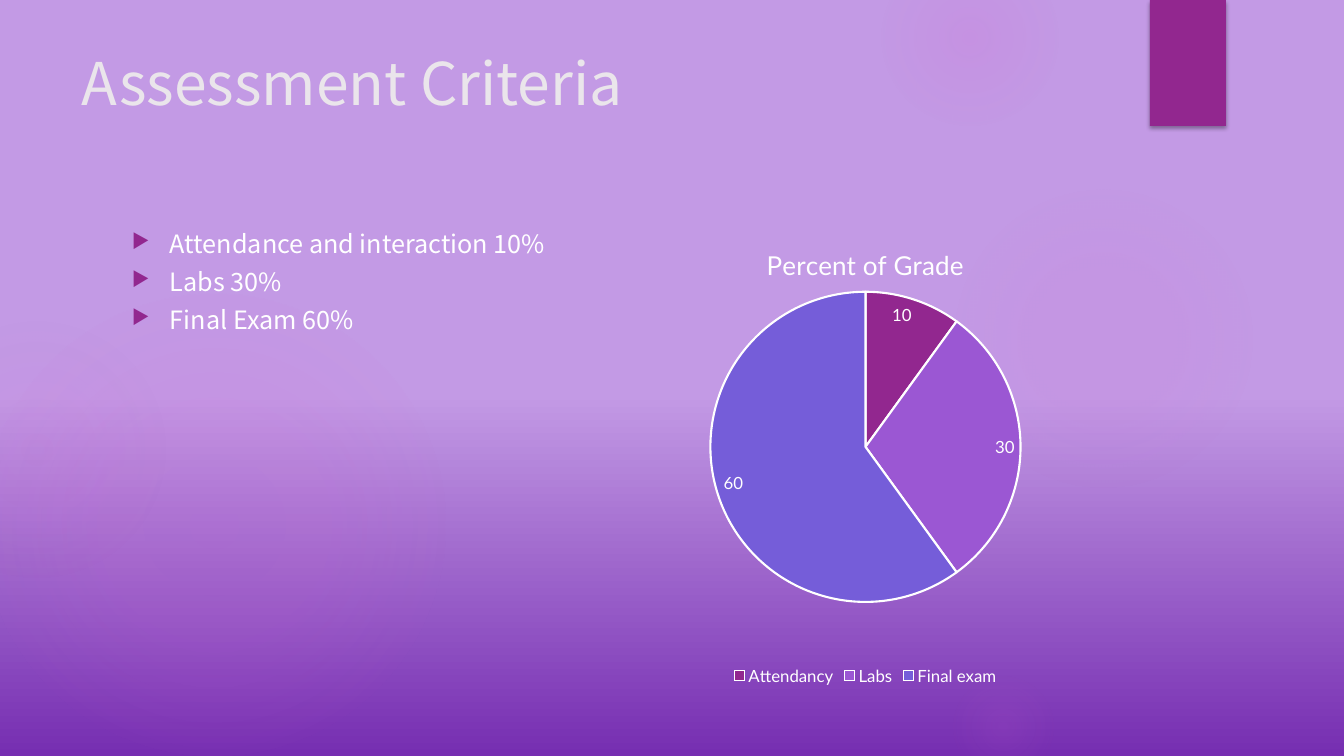
from pptx import Presentation, util as u
from pptx.chart.data import CategoryChartData
from pptx.dml.color import RGBColor
from pptx.enum import chart as ch, shapes, text
from pptx.oxml import parse_xml
from pptx.oxml.ns import nsdecls, qn

PX = 914400 / 100.8
WHITE = RGBColor(0xFF, 0xFF, 0xFF)
PALE = RGBColor(0xEA, 0xE5, 0xEB)
PLUM = RGBColor(0x92, 0x27, 0x8F)
VIOLET = RGBColor(0x9B, 0x57, 0xD3)
INDIGO = RGBColor(0x75, 0x5D, 0xD9)
DEEP = RGBColor(0x76, 0x2E, 0xB1)
LILAC = RGBColor(0xC3, 0x9A, 0xE5)
PINK = RGBColor(0xD6, 0x65, 0xD3)
MAUVE = RGBColor(0xBA, 0x69, 0xB8)
BODY_FONT = "Noto Sans CJK SC"
CHART_FONT = "Lato"


def px(*lengths):
    return [round(n * PX) for n in lengths]


def set_gradient(parent, stops, direction):
    grad = parent.find(".//" + qn("a:gradFill"))
    for child in list(grad):
        grad.remove(child)
    gs = "".join(
        f'<a:gs pos="{pos * 1000}"><a:srgbClr val="{color}">'
        f'<a:alpha val="{alpha * 1000}"/></a:srgbClr></a:gs>'
        for pos, color, alpha in stops)
    grad.append(parse_xml(f'<a:gsLst {nsdecls("a")}>{gs}</a:gsLst>'))
    grad.append(parse_xml(direction))


prs = Presentation()
prs.slide_width, prs.slide_height = px(1344, 756)
s = prs.slides.add_slide(prs.slide_layouts[6])

s.background.fill.gradient()
set_gradient(s.element, [(0, DEEP, 100), (48, LILAC, 100), (100, LILAC, 100)],
             f'<a:lin {nsdecls("a")} ang="16200000" scaled="0"/>')

radial = (f'<a:path {nsdecls("a")} path="circle">'
          '<a:fillToRect l="50000" t="50000" r="50000" b="50000"/></a:path>')
glows = [
    (-17, 294, 462, [(0, PINK, 11), (36, PINK, 10), (75, PINK, 0)]),
    (-93, 320, 260, [(0, PINK, 8), (36, PINK, 5), (71, MAUVE, 0)]),
    (949, 184, 310, [(0, PINK, 7), (36, PINK, 6), (69, PINK, 0)]),
    (882, -50, 176, [(0, PINK, 14), (36, PINK, 7), (73, PINK, 0)]),
    (949, 672, 109, [(0, PINK, 10), (31, PINK, 5), (66, PINK, 0)]),
]
for left, top, size, stops in glows:
    sp = s.shapes.add_shape(shapes.MSO_SHAPE.OVAL, *px(left, top, size, size))
    sp.shadow.inherit = False
    sp.line.fill.background()
    sp.fill.gradient()
    set_gradient(sp.element.spPr, stops, radial)

sp = s.shapes.add_shape(shapes.MSO_SHAPE.RECTANGLE, *px(1150, 0, 76, 126))
sp.shadow.inherit = False
sp.fill.solid()
sp.fill.fore_color.rgb = PLUM
sp.line.fill.background()
sp.element.spPr.find(qn("a:effectLst")).append(parse_xml(
    f'<a:outerShdw {nsdecls("a")} blurRad="{u.Pt(3.1)}" dist="{u.Pt(1.8)}" dir="5400000">'
    '<a:srgbClr val="000000"><a:alpha val="35000"/></a:srgbClr></a:outerShdw>'))

criteria = ["Attendance and interaction 10%", "Labs 30%", "Final Exam 60%"]
boxes = [
    ((72, 50, 1037, 154), ["Assessment Criteria"], 42, PALE, False),
    ((122, 227, 485, 463), criteria, 18, WHITE, True),
]
for box, lines, size, color, bulleted in boxes:
    tf = s.shapes.add_textbox(*px(*box)).text_frame
    tf.word_wrap = True
    tf.vertical_anchor = text.MSO_ANCHOR.TOP
    for i, line in enumerate(lines):
        p = tf.paragraphs[0] if i == 0 else tf.add_paragraph()
        p.line_spacing = 0.9
        r = p.add_run()
        r.text = line
        for name, value in {"size": u.Pt(size), "name": BODY_FONT}.items():
            setattr(r.font, name, value)
        r.font.color.rgb = color
        r._r.get_or_add_rPr().append(
            parse_xml(f'<a:ea {nsdecls("a")} typeface="{BODY_FONT}"/>'))
        if bulleted:
            p.space_before, p.space_after = u.Pt(1.6), u.Pt(6)
            pPr = p._p.get_or_add_pPr()
            indent = px(38)[0]
            pPr.set("marL", str(indent))
            pPr.set("indent", str(-indent))
            for bullet in (f'<a:buClr {nsdecls("a")}><a:srgbClr val="{PLUM}"/></a:buClr>',
                           f'<a:buSzPct {nsdecls("a")} val="80000"/>',
                           f'<a:buChar {nsdecls("a")} char="▶"/>'):
                pPr.append(parse_xml(bullet))

data = CategoryChartData()
data.categories = ["Attendancy", "Labs", "Final exam"]
data.add_series("Percent of Grade", (10, 30, 60))
chart = s.shapes.add_chart(ch.XL_CHART_TYPE.PIE, *px(623, 227, 485, 463), data).chart
chart.has_title = True
chart.chart_title.include_in_layout = False
tf = chart.chart_title.text_frame
tf.text = "Percent of Grade"
chart.has_legend = True
chart.legend.position = ch.XL_LEGEND_POSITION.BOTTOM
chart.legend.include_in_layout = False

plot = chart.plots[0]
plot.vary_by_categories = True
plot.has_data_labels = True
labels = plot.data_labels
labels.show_value = True
labels.show_percentage = False
labels.position = ch.XL_LABEL_POSITION.INSIDE_END

fonts = [(chart.font, 10), (tf.paragraphs[0].runs[0].font, 18.6),
         (chart.legend.font, 12), (labels.font, 12)]
for font, size in fonts:
    for name, value in {"size": u.Pt(size), "name": CHART_FONT, "bold": False}.items():
        setattr(font, name, value)
    font.color.rgb = WHITE

for i, color in enumerate([PLUM, VIOLET, INDIGO]):
    wedge = plot.series[0].points[i].format
    wedge.fill.solid()
    wedge.fill.fore_color.rgb = color
    wedge.line.color.rgb = WHITE
    wedge.line.width = u.Pt(1.5)

area = chart.element.find(".//" + qn("c:plotArea"))
for old in area.findall(qn("c:layout")):
    area.remove(old)
frame = {"layoutTarget": "inner", "xMode": "edge", "yMode": "edge",
         "x": 0.18, "y": 0.14, "w": 0.64, "h": 0.67}
parts = "".join(f'<c:{name} val="{value}"/>' for name, value in frame.items())
area.insert(0, parse_xml(
    f'<c:layout {nsdecls("c")}><c:manualLayout>{parts}</c:manualLayout></c:layout>'))

prs.save("out.pptx")
